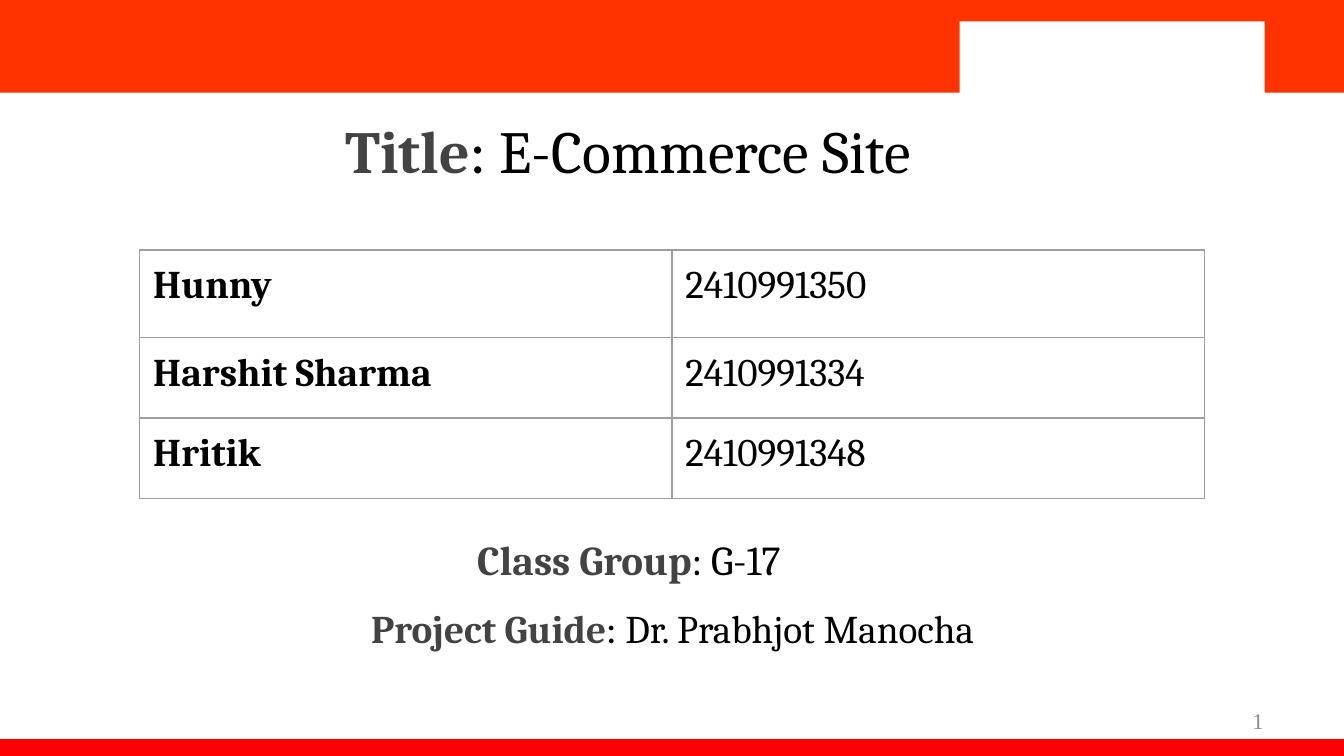
from lxml.etree import SubElement
from pptx import Presentation
from pptx.dml.color import RGBColor
from pptx.enum.shapes import MSO_SHAPE
from pptx.enum.text import MSO_ANCHOR, MSO_AUTO_SIZE, PP_ALIGN
from pptx.oxml.ns import qn
from pptx.util import Inches, Pt

ORANGE = RGBColor(0xFF, 0x33, 0x00)
RED = RGBColor(0xFF, 0x00, 0x00)
WHITE = RGBColor(0xFF, 0xFF, 0xFF)
BLACK = RGBColor(0x00, 0x00, 0x00)
DARK = RGBColor(0x43, 0x43, 0x43)
GRAY = RGBColor(0x89, 0x89, 0x89)
BORDER = RGBColor(0x9E, 0x9E, 0x9E)

COLS, ROWS = 100, 56.25
UNIT = Inches(0.1)
PAD = UNIT

MEMBERS = [
    ("Hunny", "2410991350"),
    ("Harshit Sharma", "2410991334"),
    ("Hritik", "2410991348"),
]


def grid(*cells):
    return [round(c * UNIT) for c in cells]


def set_padding(target):
    target.margin_left = target.margin_right = PAD
    target.margin_top = target.margin_bottom = PAD


def add_run(p, text, size, color=BLACK, bold=False, name="Cambria"):
    r = p.add_run()
    r.text = text
    r.font.size = Pt(size)
    r.font.name = name
    r.font.bold = bold
    r.font.color.rgb = color


def add_bar(s, color, *cells):
    sp = s.shapes.add_shape(MSO_SHAPE.RECTANGLE, *grid(*cells))
    sp.shadow.inherit = False
    sp.fill.solid()
    sp.fill.fore_color.rgb = color
    sp.line.fill.background()


def format_frame(sp, anchor, align):
    tf = sp.text_frame
    tf.word_wrap = True
    tf.auto_size = MSO_AUTO_SIZE.NONE
    tf.vertical_anchor = anchor
    set_padding(tf)
    p = tf.paragraphs[0]
    p.alignment = align
    return p


def add_line(s, cells, align=PP_ALIGN.CENTER):
    sp = s.shapes.add_textbox(*grid(*cells))
    return format_frame(sp, MSO_ANCHOR.MIDDLE, align)


def set_title(s):
    sp = s.shapes.title
    sp.left, sp.top, sp.width, sp.height = grid(11.5, 7.5, 70.5, 7.2)
    p = format_frame(sp, MSO_ANCHOR.TOP, PP_ALIGN.CENTER)
    add_run(p, "Title", 32, DARK, True)
    add_run(p, ": ", 32, name="Calibri")
    add_run(p, "E-Commerce Site", 32)


def add_borders(cell):
    tc_pr = cell._tc.get_or_add_tcPr()
    for side in ("a:lnL", "a:lnR", "a:lnT", "a:lnB"):
        ln = SubElement(tc_pr, qn(side), w=str(Pt(0.75)))
        fill = SubElement(ln, qn("a:solidFill"))
        SubElement(fill, qn("a:srgbClr"), val=str(BORDER))


def add_members(s):
    heights = grid(6.5, 6, 6)
    left, top, width = grid(10.4, 18.6, 79.2)
    table = s.shapes.add_table(
        len(MEMBERS), 2, left, top, width, sum(heights)
    ).table
    table.first_row = table.horz_banding = False
    for row, height, member in zip(table.rows, heights, MEMBERS):
        row.height = height
        for col, text in enumerate(member):
            cell = row.cells[col]
            add_borders(cell)
            cell.fill.background()
            set_padding(cell)
            add_run(cell.text_frame.paragraphs[0], text, 21, bold=col == 0)


def main():
    prs = Presentation()
    prs.slide_width, prs.slide_height = grid(COLS, ROWS)
    s = prs.slides.add_slide(prs.slide_layouts[5])

    add_bar(s, ORANGE, 0, 0, COLS, 6.9)
    add_bar(s, RED, 0, 55, COLS, ROWS - 55)
    add_bar(s, WHITE, 71.4, 1.6, 22.7, 5.6)

    set_title(s)
    add_members(s)

    p = add_line(s, (20.8, 39.6, 52, 4))
    add_run(p, "Class Group", 22, DARK, True)
    add_run(p, ": G-17", 22)

    p = add_line(s, (14.1, 44.7, 71.9, 4))
    add_run(p, "Project Guide", 21, DARK, True)
    add_run(p, ": ", 21, name="Calibri")
    add_run(p, "Dr. Prabhjot Manocha", 21)

    p = add_line(s, (71.7, 52.1, 23.3, 3), PP_ALIGN.RIGHT)
    add_run(p, "1", 12, GRAY, name="Times New Roman")

    prs.save("out.pptx")


if __name__ == "__main__":
    main()
